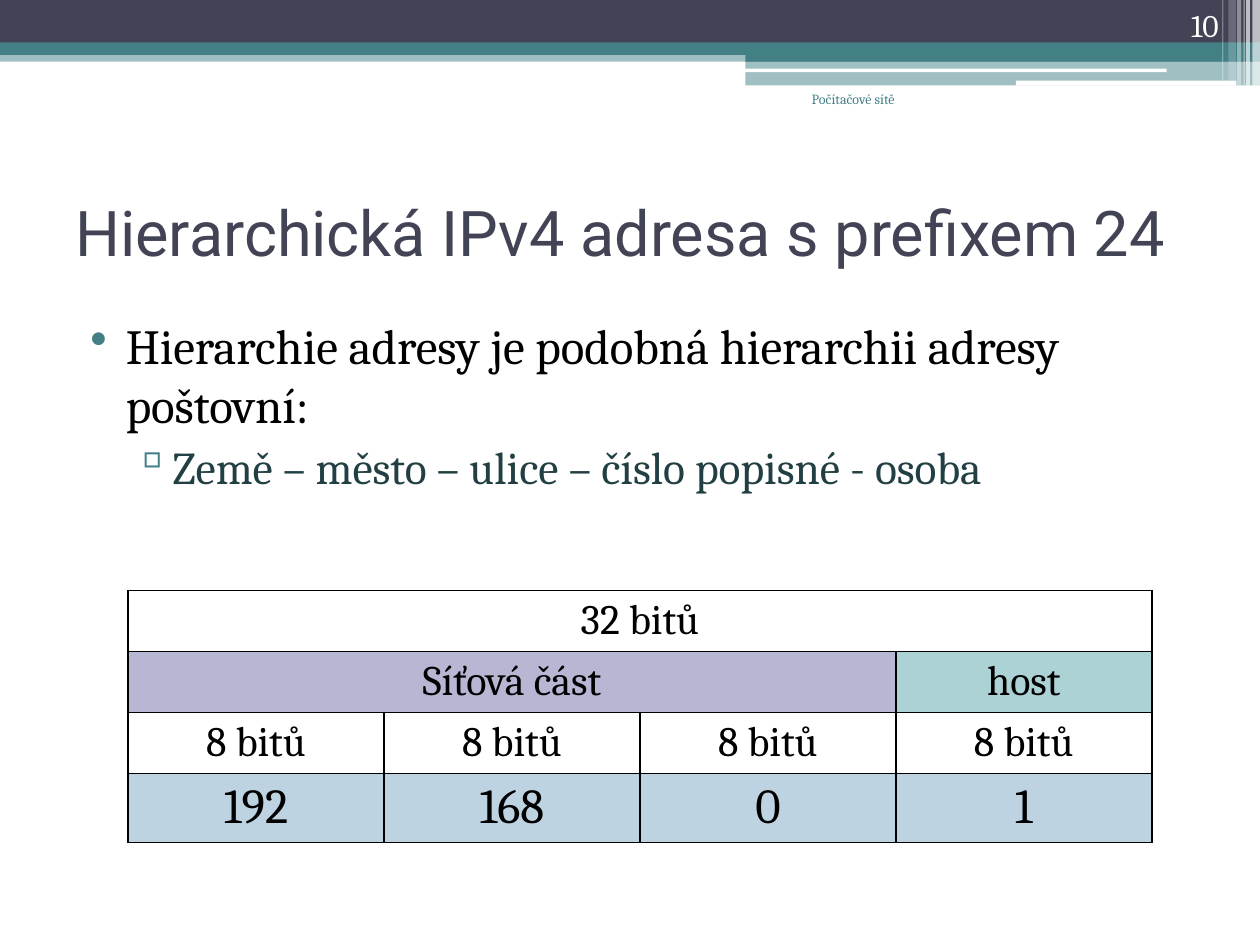
from dataclasses import dataclass
from typing import Any

from lxml.etree import SubElement
from pptx import Presentation
from pptx.dml.color import RGBColor
from pptx.enum.shapes import MSO_SHAPE
from pptx.enum.text import MSO_ANCHOR, PP_ALIGN
from pptx.oxml import parse_xml
from pptx.oxml.ns import qn
from pptx.util import Pt

NAVY, TEAL, WHITE, BLACK = "424456", "438086", "FFFFFF", "000000"
NAMESPACE = "http://schemas.openxmlformats.org/drawingml/2006/main"


def color(value):
    return RGBColor.from_string(value)


@dataclass
class Slide:
    page: Any
    font: str = "Cambria"

    def bar(self, left, top, width, height, fill, opacity=100, rounded=False):
        kind = MSO_SHAPE.ROUNDED_RECTANGLE if rounded else MSO_SHAPE.RECTANGLE
        box = self.page.shapes.add_shape(kind, Pt(left), Pt(top), Pt(width), Pt(height))
        box.shadow.inherit = False
        box.line.fill.background()
        box.fill.solid()
        box.fill.fore_color.rgb = color(fill)
        if opacity < 100:
            tone = box.fill._xPr.find(qn("a:solidFill"))[0]
            SubElement(tone, qn("a:alpha"), val=str(opacity * 1000))

    def text(self, left, top, width, height, anchor=MSO_ANCHOR.TOP):
        box = self.page.shapes.add_textbox(Pt(left), Pt(top), Pt(width), Pt(height))
        box.text_frame.word_wrap = True
        box.text_frame.vertical_anchor = anchor
        return box.text_frame

    def add_span(self, para, words, size, fill, align=PP_ALIGN.LEFT, font=None):
        para.alignment = align
        span = para.add_run()
        span.text = words
        span.font.size = Pt(size)
        span.font.name = font or self.font
        span.font.color.rgb = color(fill)

    def bullet(self, para, mark, margin, indent):
        para.space_before = Pt(3)
        properties = para._p.get_or_add_pPr()
        properties.set("marL", str(Pt(margin)))
        properties.set("indent", str(Pt(indent)))
        tone = SubElement(properties, qn("a:buClr"))
        SubElement(tone, qn("a:srgbClr"), val=TEAL)
        SubElement(properties, qn("a:buChar"), char=mark)

    def border(self, cell):
        properties = cell._tc.get_or_add_tcPr()
        for place, side in enumerate(("lnL", "lnR", "lnT", "lnB")):
            properties.insert(place, parse_xml(
                f'<a:{side} xmlns:a="{NAMESPACE}" w="{Pt(1)}"><a:solidFill>'
                f'<a:srgbClr val="{BLACK}"/></a:solidFill></a:{side}>'))

    def table(self, left, top, column_width, columns, rows):
        height = sum(row_height for row_height, size, cells in rows)
        grid = self.page.shapes.add_table(
            len(rows), columns, Pt(left), Pt(top),
            Pt(column_width * columns), Pt(height)).table
        grid.first_row = grid.horz_banding = False
        for column in grid.columns:
            column.width = Pt(column_width)
        for index, (row_height, size, cells) in enumerate(rows):
            grid.rows[index].height = Pt(row_height)
            start = 0
            for words, width, fill in cells:
                cell = grid.cell(index, start)
                if width > 1:
                    cell.merge(grid.cell(index, start + width - 1))
                self.add_span(cell.text_frame.paragraphs[0], words, size, BLACK,
                              PP_ALIGN.CENTER)
                for position in range(start, start + width):
                    part = grid.cell(index, position)
                    part.vertical_anchor = MSO_ANCHOR.MIDDLE
                    part.margin_top = part.margin_bottom = Pt(3)
                    if fill:
                        part.fill.solid()
                        part.fill.fore_color.rgb = color(fill)
                    else:
                        part.fill.background()
                    self.border(part)
                start += width


def main():
    deck = Presentation()
    deck.slide_width, deck.slide_height = Pt(720), Pt(540)
    slide = Slide(deck.slides.add_slide(deck.slide_layouts[6]))

    slide.bar(0, 28.8, 720, 6.5, TEAL, 50)
    slide.bar(0, 0, 720, 24.5, NAVY)
    slide.bar(0, 24.2, 720, 7.2, TEAL)
    slide.bar(426, 28.1, 294, 7.2, TEAL)
    slide.bar(426, 34.6, 294, 14.2, TEAL, 50)
    slide.bar(425.5, 39.2, 241.2, 2, WHITE, rounded=True)
    slide.bar(580.5, 46.1, 126, 2.9, WHITE, rounded=True)
    stripes = [(715.7, 4.3, 49, 65), (712.1, 2.2, 49, 65), (710.6, 0.7, 49, 60),
               (707, 2.2, 49, 40), (702, 4.3, 46.1, 20), (698.4, 0.7, 46.1, 30)]
    for left, width, height, opacity in stripes:
        slide.bar(left, 0, width, height, WHITE, opacity)

    title = slide.text(36, 90, 648, 84, MSO_ANCHOR.MIDDLE)
    slide.add_span(title.paragraphs[0], "Hierarchická IPv4 adresa s prefixem 24",
                   36, NAVY, font="Roboto")

    body = slide.text(36, 177, 648, 149)
    para = body.paragraphs[0]
    slide.bullet(para, "•", 28.8, -20.2)
    slide.add_span(para, "Hierarchie adresy je podobná hierarchii adresy poštovní:",
                   28, BLACK)
    para = body.add_paragraph()
    para.level = 1
    slide.bullet(para, "▫", 51.8, -19.4)
    slide.add_span(para, "Země – město – ulice – číslo popisné - osoba", 26, "224043")

    footer = slide.text(414, 48.2, 104.4, 36)
    slide.add_span(footer.paragraphs[0], "Počítačové sítě", 8, TEAL, PP_ALIGN.RIGHT)
    number = slide.text(643.7, 0, 59.8, 28.8, MSO_ANCHOR.BOTTOM)
    slide.add_span(number.paragraphs[0], "10", 18, WHITE, PP_ALIGN.RIGHT)

    slide.table(73.2, 337.4, 146.25, 4, [
        (34.85, 24, [("32 bitů", 4, None)]),
        (34.85, 24, [("Síťová část", 3, "B7B7D4"), ("host", 1, "ADD2D6")]),
        (34.85, 24, [("8 bitů", 1, None)] * 4),
        (39.4, 28, [(octet, 1, "BED3E1") for octet in ("192", "168", "0", "1")]),
    ])
    deck.save("out.pptx")


if __name__ == "__main__":
    main()
